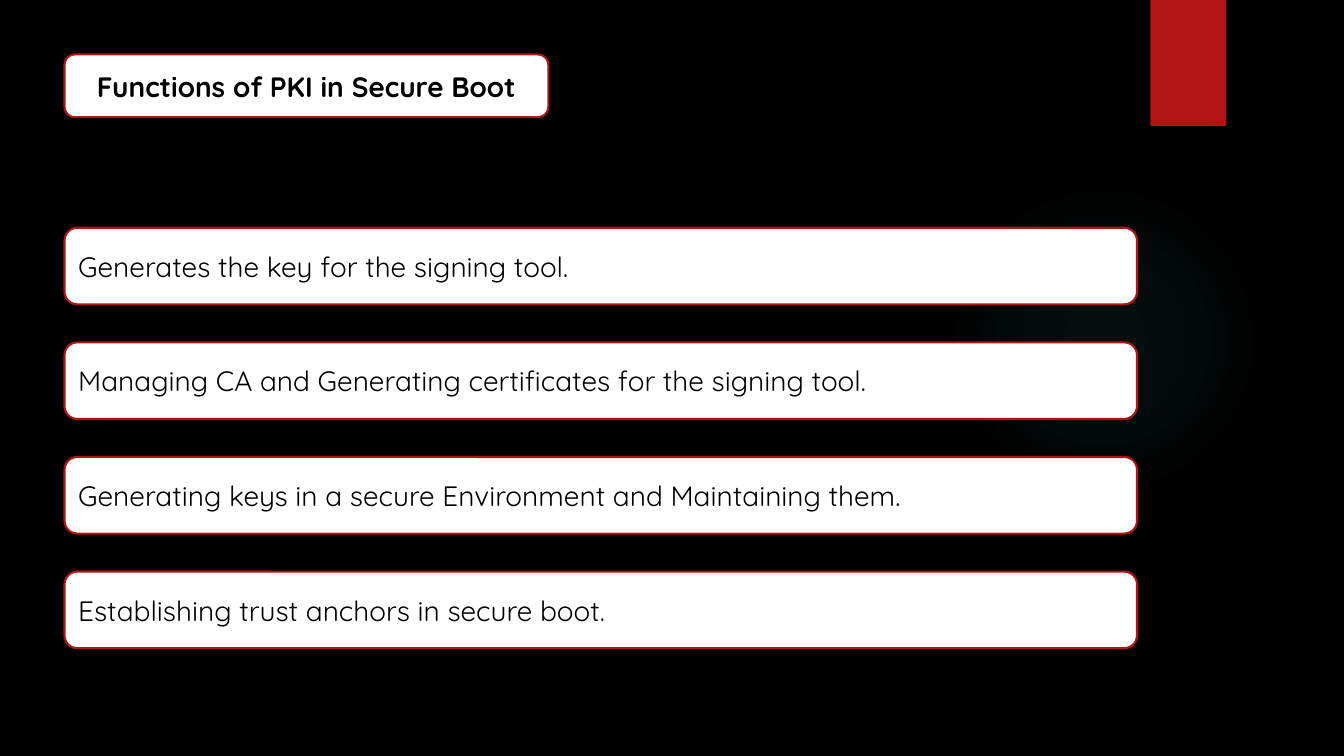
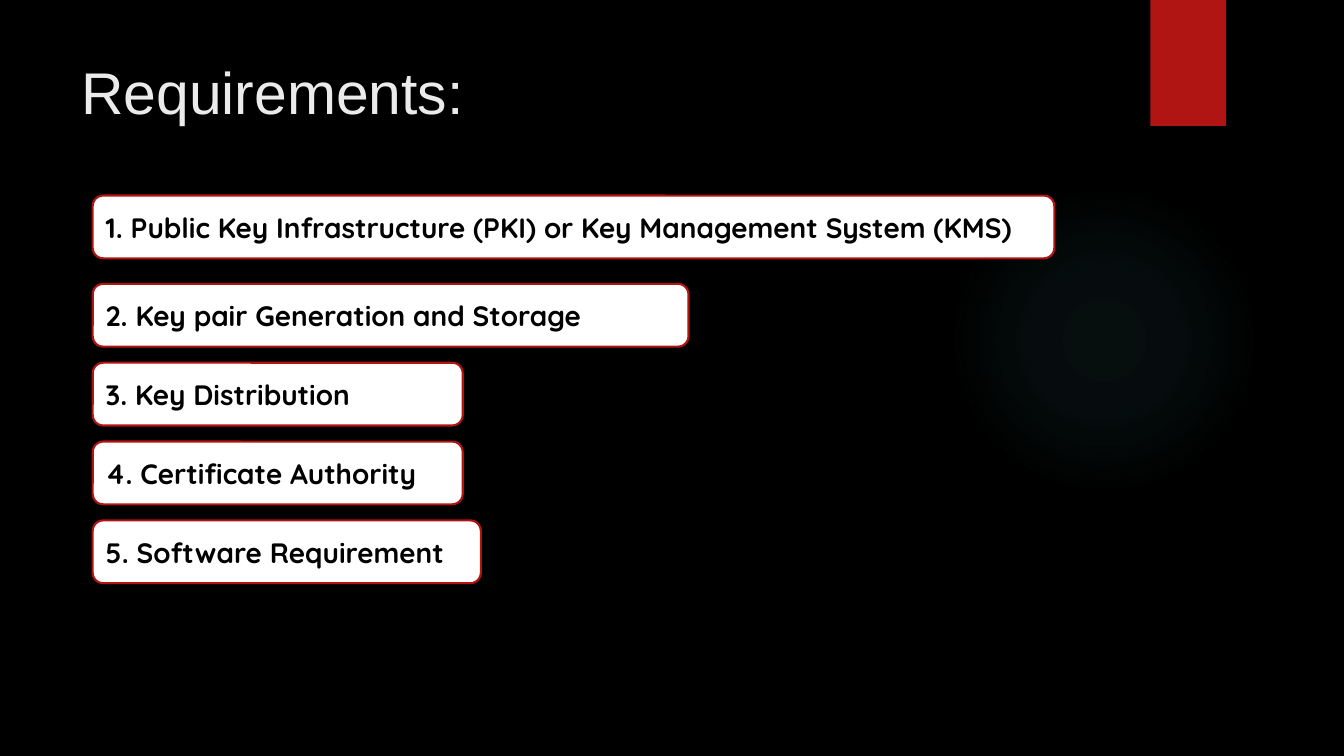
"""Build two dark slides on PKI in secure boot and its requirements."""
from pptx import Presentation
from pptx.dml.color import RGBColor
from pptx.enum.shapes import MSO_SHAPE
from pptx.enum.text import MSO_ANCHOR, PP_ALIGN
from pptx.oxml import parse_xml
from pptx.oxml.ns import nsdecls, qn
from pptx.util import Inches, Pt

RECTANGLE, ROUNDED, ELLIPSE = MSO_SHAPE.RECTANGLE, MSO_SHAPE.ROUNDED_RECTANGLE, MSO_SHAPE.OVAL
LEFT, CENTER = PP_ALIGN.LEFT, PP_ALIGN.CENTER
TOP, MIDDLE = MSO_ANCHOR.TOP, MSO_ANCHOR.MIDDLE

COLORS = {"background": "000000", "accent": "B01513", "card": "FFFFFF",
          "text": "000000", "title": "EBEBEB", "glow": "50B9C1"}
FORMATS = {
    "title": {"name": "Arial", "size": Pt(42), "bold": False},
    "heading": {"name": "Quicksand", "size": Pt(20), "bold": True},
    "body": {"name": "Quicksand", "size": Pt(20), "bold": False},
}
GLOW_STOPS = [(0, 7), (36, 6), (69, 0)]

presentation = Presentation()
presentation.slide_width, presentation.slide_height = Inches(13.33), Inches(7.5)
background = presentation.slide_master.background.fill
background.solid()
background.fore_color.rgb = RGBColor.from_string(COLORS["background"])


def area(left, top, width, height):
    """Turn percentages of the slide's size into lengths."""
    column, row = presentation.slide_width / 100, presentation.slide_height / 100
    return int(left * column), int(top * row), int(width * column), int(height * row)


def write(shape, text, style, color, alignment=LEFT, anchor=MIDDLE):
    """Fill a shape with one formatted paragraph."""
    frame = shape.text_frame
    frame.word_wrap, frame.vertical_anchor = True, anchor
    paragraph = frame.paragraphs[0]
    paragraph.alignment = alignment
    run = paragraph.add_run()
    run.text = text
    for attribute, value in FORMATS[style].items():
        setattr(run.font, attribute, value)
    run.font.color.rgb = RGBColor.from_string(COLORS[color])


functions = [
    "Generates the key for the signing tool.",
    "Managing CA and Generating certificates for the signing tool.",
    "Generating keys in a secure Environment and Maintaining them.",
    "Establishing trust anchors in secure boot.",
]
requirements = [
    ("2. Key pair Generation and Storage", 44.33),
    ("3. Key Distribution", 27.53),
    ("4. Certificate Authority", 27.53),
    ("5. Software Requirement", 28.88),
]
function_cards = [("Functions of PKI in Secure Boot", (4.8, 7.2, 36, 8.3), "heading", CENTER)]
function_cards += [(text, (4.8, 30.13 + 15.16 * row, 79.8, 10.13), "body", LEFT)
                   for row, text in enumerate(functions)]
requirement_cards = [("1. Public Key Infrastructure (PKI) or Key Management System (KMS)",
                      (6.9, 25.87, 71.55, 8.3), "heading", LEFT)]
requirement_cards += [(text, (6.9, 37.55 + 10.43 * row, width, 8.3), "heading", LEFT)
                      for row, (text, width) in enumerate(requirements)]

stops = "".join(
    f'<a:gs pos="{position * 1000}"><a:srgbClr val="{COLORS["glow"]}">'
    f'<a:alpha val="{opacity * 1000}"/></a:srgbClr></a:gs>'
    for position, opacity in GLOW_STOPS)
glow_fill = (f'<a:gradFill {nsdecls("a")} rotWithShape="1"><a:gsLst>{stops}</a:gsLst>'
             '<a:path path="circle"><a:fillToRect l="50000" t="50000" r="50000" b="50000"/>'
             '</a:path></a:gradFill>')

for title, cards in [(None, function_cards), ("Requirements:", requirement_cards)]:
    slide = presentation.slides.add_slide(presentation.slide_layouts[6])

    glow = slide.shapes.add_shape(ELLIPSE, *area(70.6, 24.4, 23.1, 41.07))
    glow.shadow.inherit = False
    glow.line.fill.background()
    glow.fill.background()
    no_fill = glow.element.spPr.find(qn("a:noFill"))
    glow.element.spPr.replace(no_fill, parse_xml(glow_fill))

    band = slide.shapes.add_shape(RECTANGLE, *area(85.6, 0, 5.63, 16.67))
    band.shadow.inherit = False
    band.line.fill.background()
    band.fill.solid()
    band.fill.fore_color.rgb = RGBColor.from_string(COLORS["accent"])

    if title:
        title_box = slide.shapes.add_textbox(*area(5.3, 6.67, 77.2, 20.4))
        write(title_box, title, "title", "title", anchor=TOP)

    for text, place, style, alignment in cards:
        card = slide.shapes.add_shape(ROUNDED, *area(*place))
        card.shadow.inherit = False
        card.fill.solid()
        card.fill.fore_color.rgb = RGBColor.from_string(COLORS["card"])
        card.line.color.rgb = RGBColor.from_string(COLORS["accent"])
        card.line.width = Pt(1.5)
        write(card, text, style, "text", alignment)

presentation.save("out.pptx")
